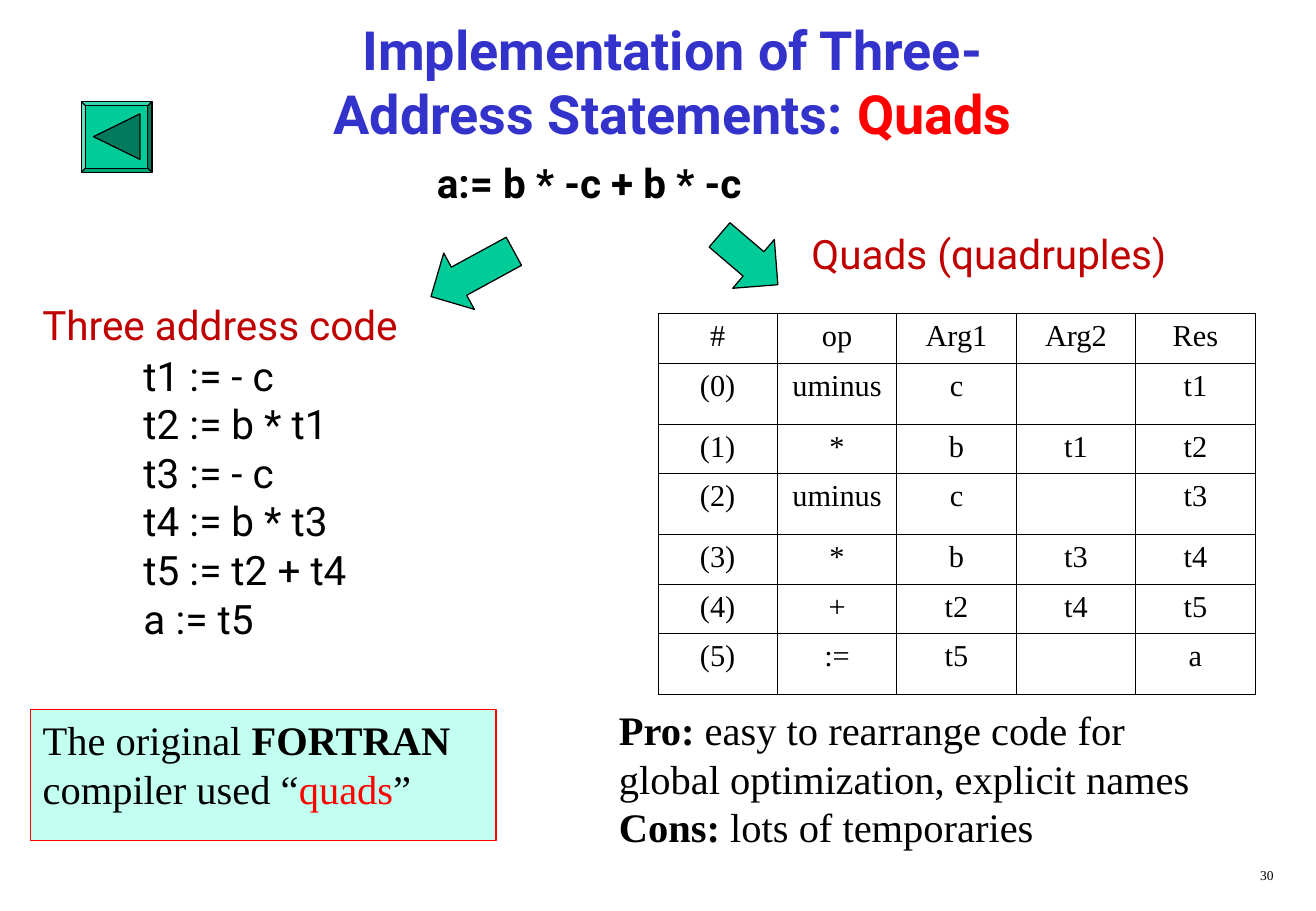
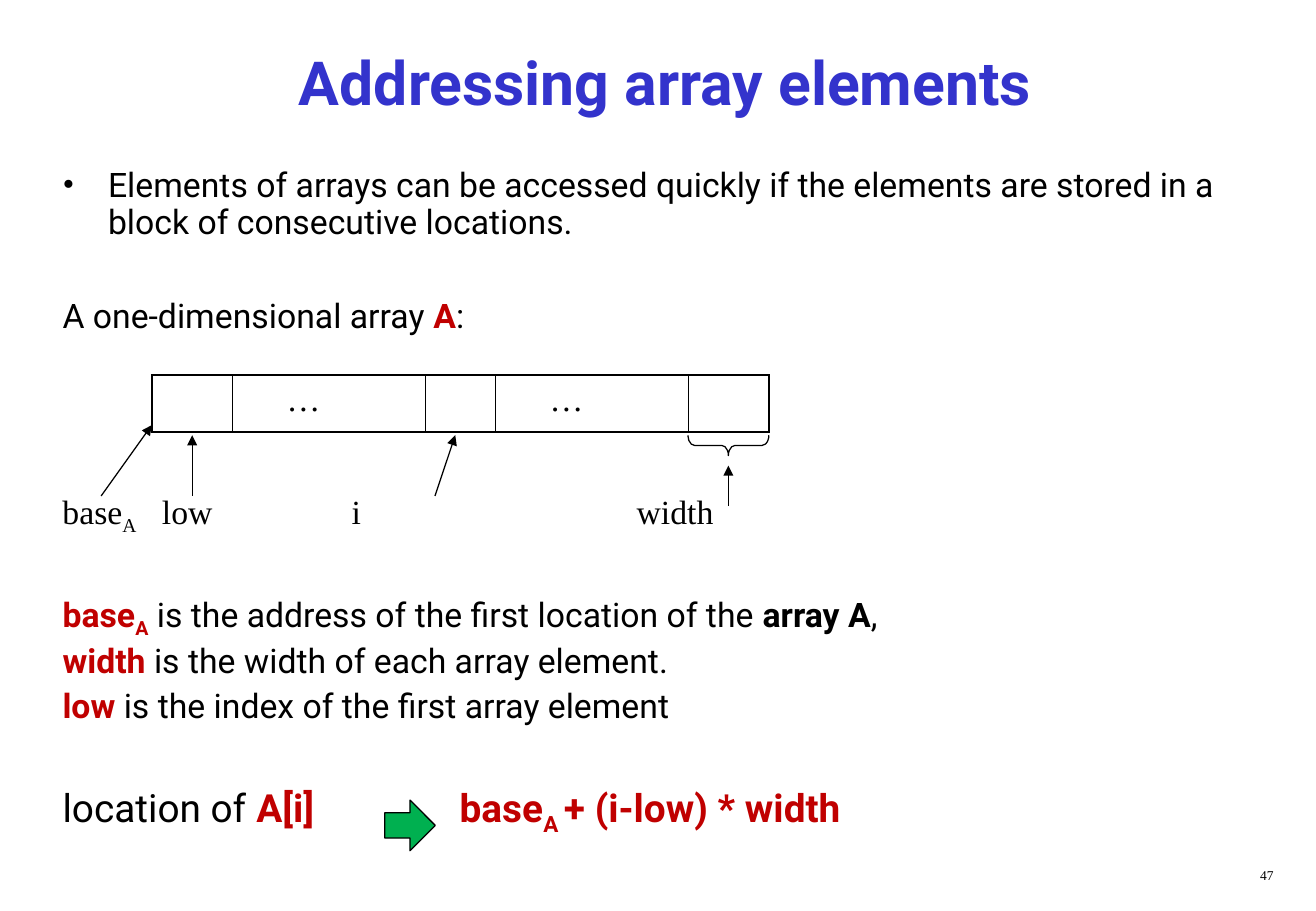
"""Build two compiler slides: quadruples and array addressing."""
from lxml import etree
from pptx import Presentation
from pptx.dml.color import RGBColor
from pptx.enum import shapes, text
from pptx.oxml import ns
from pptx.util import Pt

BLUE = RGBColor(0x33, 0x33, 0xCC)
RED = RGBColor(0xFF, 0x00, 0x00)
DARK_RED = RGBColor(0xC0, 0x00, 0x00)
BLACK = RGBColor(0x00, 0x00, 0x00)
TEAL = RGBColor(0x00, 0xCC, 0x99)
DARK_TEAL = RGBColor(0x00, 0x7A, 0x5C)
MINT = RGBColor(0xC2, 0xFF, 0xF0)
GREEN = RGBColor(0x00, 0xB0, 0x50)
SANS, SERIF = "Roboto", "Times New Roman"
CENTER, RIGHT = text.PP_ALIGN.CENTER, text.PP_ALIGN.RIGHT
PRESET = shapes.MSO_SHAPE

BOLD = {"bold": True}
KEY = {"bold": True, "color": DARK_RED}
KEY_SUB = {**KEY, "subscript": True}
SUB = {"subscript": True}

QUADS_TITLE = [[("Implementation of Three-\nAddress Statements: ", {}), ("Quads", {"color": RED})]]
CODE = ["t1 := - c", "t2 := b * t1", "t3 := - c", "t4 := b * t3", "t5 := t2 + t4", "a := t5"]
QUADS = [
    ("#", "op", "Arg1", "Arg2", "Res"),
    ("(0)", "uminus", "c", "", "t1"),
    ("(1)", "*", "b", "t1", "t2"),
    ("(2)", "uminus", "c", "", "t3"),
    ("(3)", "*", "b", "t3", "t4"),
    ("(4)", "+", "t2", "t4", "t5"),
    ("(5)", ":=", "t5", "", "a"),
]
PROS_AND_CONS = [
    [("Pro: ", BOLD), ("easy to rearrange code for global optimization, explicit names", {})],
    [("Cons:", BOLD), (" lots of temporaries", {})],
]
FORTRAN_NOTE = [
    [("The original ", {}), ("FORTRAN", BOLD)],
    [("compiler used “", {}), ("quads", {"color": RED}), ("”", {})],
]

ARRAY_INTRO = ["Elements of arrays can be accessed quickly if the elements are stored in a "
               "block of consecutive locations."]
ARRAY_NAME = [[("A one-dimensional array ", {}), ("A", KEY), (":", {})]]
ARRAY_CELLS = [("", 48), ("…", 114), ("", 42), ("…", 114), ("", 48)]
ARRAY_LABELS = [
    (30, [[("base", {}), ("A", SUB)]]),
    (89, ["low"]),
    (201.5, ["i"]),
    (370.5, ["width"]),
]
POINTERS = [
    ((60, 294), (90, 252)),
    ((258, 294), (270, 258)),
    ((432, 300), (432, 276)),
    ((114, 294), (114, 258)),
]
DEFINITIONS = [
    [("base", KEY), ("A", KEY_SUB), (" is the address of the first location of the ", {}),
     ("array A", BOLD), (",", {})],
    [("width", KEY), (" is the width of each array element.", {})],
    [("low", KEY), (" is the index of the first array element", {})],
]
LOCATION = [[("location of ", {}), ("A[i]", KEY)]]
FORMULA = [[("base", KEY), ("A ", KEY_SUB), ("+ (i-low) * width", KEY)]]


def write(frame, paragraphs, size=24, font=SANS, color=BLACK, bold=False, align=None,
          spacing=None, before=0, bullet=False):
    """Fill a text frame with plain strings or lists of (text, format) runs."""
    for index, runs in enumerate(paragraphs):
        paragraph = frame.paragraphs[0] if index == 0 else frame.add_paragraph()
        paragraph.alignment = align or text.PP_ALIGN.LEFT
        paragraph.space_before = Pt(before if index else 0)
        if spacing:
            paragraph.line_spacing = spacing
        if bullet:
            properties = paragraph._p.get_or_add_pPr()
            properties.set("marL", str(Pt(27)))
            properties.set("indent", str(-Pt(27)))
            etree.SubElement(properties, ns.qn("a:buFont")).set("typeface", SERIF)
            etree.SubElement(properties, ns.qn("a:buChar")).set("char", "•")
        for content, style in [(runs, {})] if isinstance(runs, str) else runs:
            for number, piece in enumerate(content.split("\n")):
                if number:
                    paragraph.add_line_break()
                run = paragraph.add_run()
                run.text = piece
                run.font.name = font
                run.font.size = Pt(size)
                run.font.bold = style.get("bold", bold)
                run.font.color.rgb = style.get("color", color)
                if style.get("subscript"):
                    run.font._element.set("baseline", "-25000")


def add_text(slide, left, top, width, height, paragraphs, **style):
    """Add a wrapping text box."""
    box = slide.shapes.add_textbox(Pt(left), Pt(top), Pt(width), Pt(height))
    box.text_frame.word_wrap = True
    write(box.text_frame, paragraphs, **style)


def paint(shape, fill=None, line=BLACK):
    """Give a shape a flat fill and a thin outline."""
    shape.shadow.inherit = False
    if fill is None:
        shape.fill.background()
    else:
        shape.fill.solid()
        shape.fill.fore_color.rgb = fill
    shape.line.color.rgb = line
    shape.line.width = Pt(0.75)
    return shape


def add_preset(slide, kind, left, top, width, height, fill=None, line=BLACK, rotation=0):
    """Add a painted preset shape."""
    shape = slide.shapes.add_shape(kind, Pt(left), Pt(top), Pt(width), Pt(height))
    shape.rotation = rotation
    return paint(shape, fill, line)


def add_pointer(slide, start, end):
    """Add a straight line with an arrowhead at its end."""
    ends = [Pt(value) for value in (*start, *end)]
    connector = slide.shapes.add_connector(shapes.MSO_CONNECTOR.STRAIGHT, *ends)
    connector.line.color.rgb = BLACK
    connector.line.width = Pt(0.75)
    etree.SubElement(connector.line._get_or_add_ln(), ns.qn("a:tailEnd")).set("type", "triangle")
    etree.SubElement(connector._element.spPr, ns.qn("a:effectLst"))


def set_borders(cell, widths):
    """Draw the left, right, top and bottom borders of a cell."""
    properties = cell._tc.get_or_add_tcPr()
    for index, (side, width) in enumerate(zip("LRTB", widths)):
        border = etree.Element(ns.qn("a:ln" + side), w=str(Pt(width)))
        fill = etree.SubElement(border, ns.qn("a:solidFill"))
        etree.SubElement(fill, ns.qn("a:srgbClr")).set("val", str(BLACK))
        properties.insert(index, border)


def add_grid(slide, left, top, rows, widths, heights, outer=0.45, inner=0.45, indent=7.2, **style):
    """Add an unfilled table with outer and inner border widths."""
    frame = slide.shapes.add_table(len(rows), len(widths), Pt(left), Pt(top),
                                   Pt(sum(widths)), Pt(sum(heights)))
    table = frame.table
    table.first_row = table.horz_banding = False
    for column, width in zip(table.columns, widths):
        column.width = Pt(width)
    for r, (values, height) in enumerate(zip(rows, heights)):
        table.rows[r].height = Pt(height)
        for c, value in enumerate(values):
            cell = table.cell(r, c)
            cell.fill.background()
            cell.margin_left = Pt(indent)
            edges = (c == 0, c == len(widths) - 1, r == 0, r == len(rows) - 1)
            set_borders(cell, [outer if edge else inner for edge in edges])
            if value:
                write(cell.text_frame, [value], font=SERIF, **style)


def add_slide(presentation, title, size, number):
    """Add a title-only slide with its title and page number."""
    slide = presentation.slides.add_slide(presentation.slide_layouts[5])
    holder = slide.shapes.title
    holder.left, holder.top, holder.width, holder.height = Pt(30), Pt(12), Pt(738), Pt(72)
    frame = holder.text_frame
    frame.auto_size = text.MSO_AUTO_SIZE.NONE
    frame.vertical_anchor = text.MSO_ANCHOR.MIDDLE
    write(frame, title, size=size, color=BLUE, bold=True, align=CENTER)
    add_text(slide, 600, 510.6, 162.5, 18, [number], size=8, font=SERIF, align=RIGHT)
    return slide


def build_quads(presentation):
    """Build the slide on quadruples."""
    slide = add_slide(presentation, QUADS_TITLE, 32, "30")
    add_text(slide, 252, 90, 282, 36, ["a:= b * -c + b * -c"], bold=True)
    add_preset(slide, PRESET.LEFT_ARROW, 252.2, 143.4, 56, 38, TEAL, rotation=331.4)
    add_preset(slide, PRESET.LEFT_ARROW, 421.3, 135, 45.5, 38, TEAL, rotation=220.5)
    add_text(slide, 78, 204.3, 198, 180, CODE)
    add_text(slide, 18, 174.4, 294, 36, ["Three address code"], color=DARK_RED)
    add_text(slide, 474.2, 132.3, 294, 36, ["Quads (quadruples)"], color=DARK_RED)
    heights = [29.3 if all(row) else 36.2 for row in QUADS]
    add_grid(slide, 390.2, 186, QUADS, [70.85] * 5, heights, size=18, align=CENTER)
    add_text(slide, 360, 414.4, 378, 122, PROS_AND_CONS, font=SERIF)

    button = add_preset(slide, PRESET.BEVEL, 48.2, 60.2, 42, 42, TEAL)
    button.adjustments[0] = 0.06
    builder = slide.shapes.build_freeform(Pt(55.5), Pt(81))
    builder.add_line_segments([(Pt(83), Pt(67.5)), (Pt(83), Pt(94.5))])
    paint(builder.convert_to_shape(), DARK_TEAL)

    note = add_preset(slide, PRESET.RECTANGLE, 18.2, 420.4, 276, 78, MINT, RED)
    note.text_frame.vertical_anchor = text.MSO_ANCHOR.TOP
    write(note.text_frame, FORTRAN_NOTE, font=SERIF)


def build_array(presentation):
    """Build the slide on array addressing."""
    slide = add_slide(presentation, ["Addressing array elements "], 36, "47")
    add_text(slide, 30, 96.3, 708, 54, ARRAY_INTRO, size=20, spacing=0.9, bullet=True)
    add_text(slide, 30, 171, 400, 31, ARRAY_NAME, size=20)
    values, widths = zip(*ARRAY_CELLS)
    add_grid(slide, 90, 222.2, [values], widths, [33.8], outer=1.08, indent=32, size=20)
    for start, end in POINTERS:
        add_pointer(slide, start, end)
    brace = add_preset(slide, PRESET.LEFT_BRACE, 426, 240, 12, 48, rotation=270)
    brace.adjustments[0] = 0.33
    for left, label in ARRAY_LABELS:
        add_text(slide, left, 287.2, 66, 30, label, size=20, font=SERIF)
    add_text(slide, 30, 348.7, 708, 88, DEFINITIONS, size=20, spacing=0.9, before=5)
    add_text(slide, 30, 461, 190, 35, LOCATION, size=23)
    add_preset(slide, PRESET.RIGHT_ARROW, 228.2, 474.3, 30, 30, GREEN)
    add_text(slide, 265.5, 461, 300, 35, FORMULA, size=23)


def main():
    """Build and save the presentation."""
    presentation = Presentation()
    presentation.slide_width, presentation.slide_height = Pt(780.48), Pt(540)
    build_quads(presentation)
    build_array(presentation)
    presentation.save("out.pptx")


if __name__ == "__main__":
    main()
